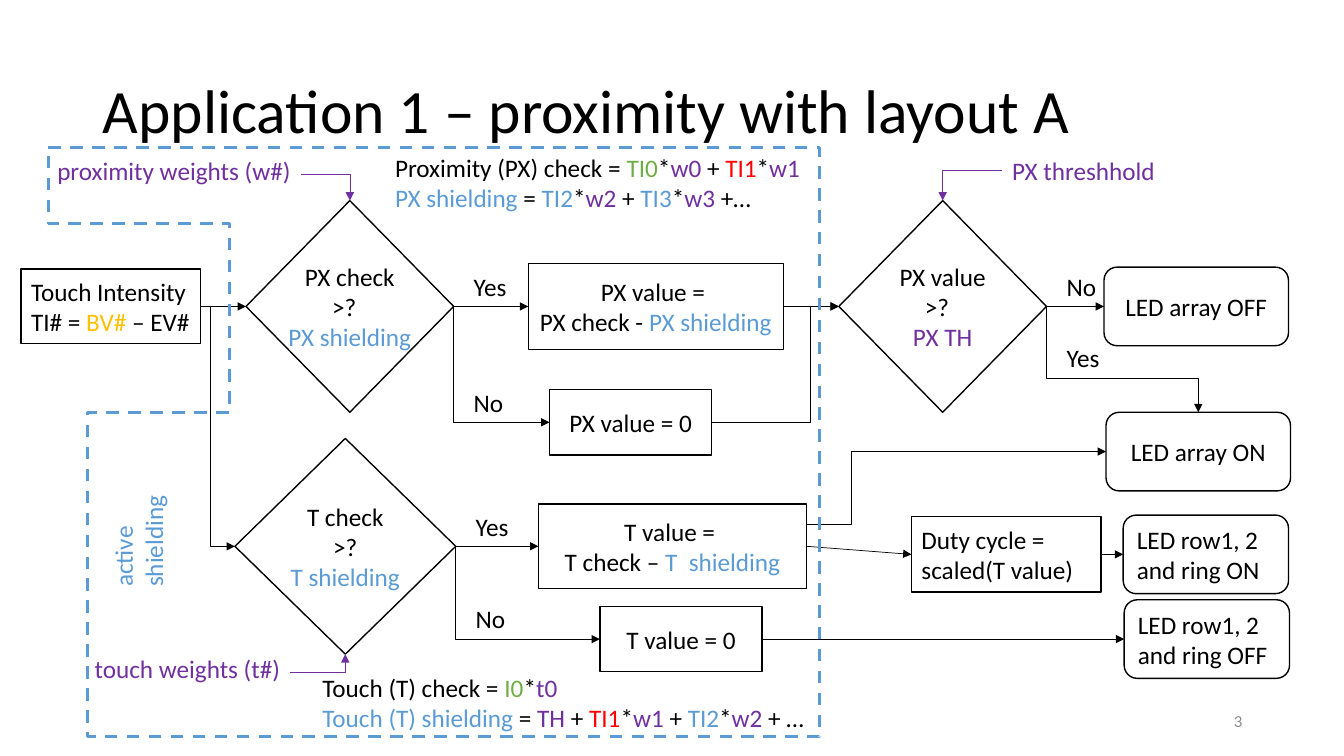
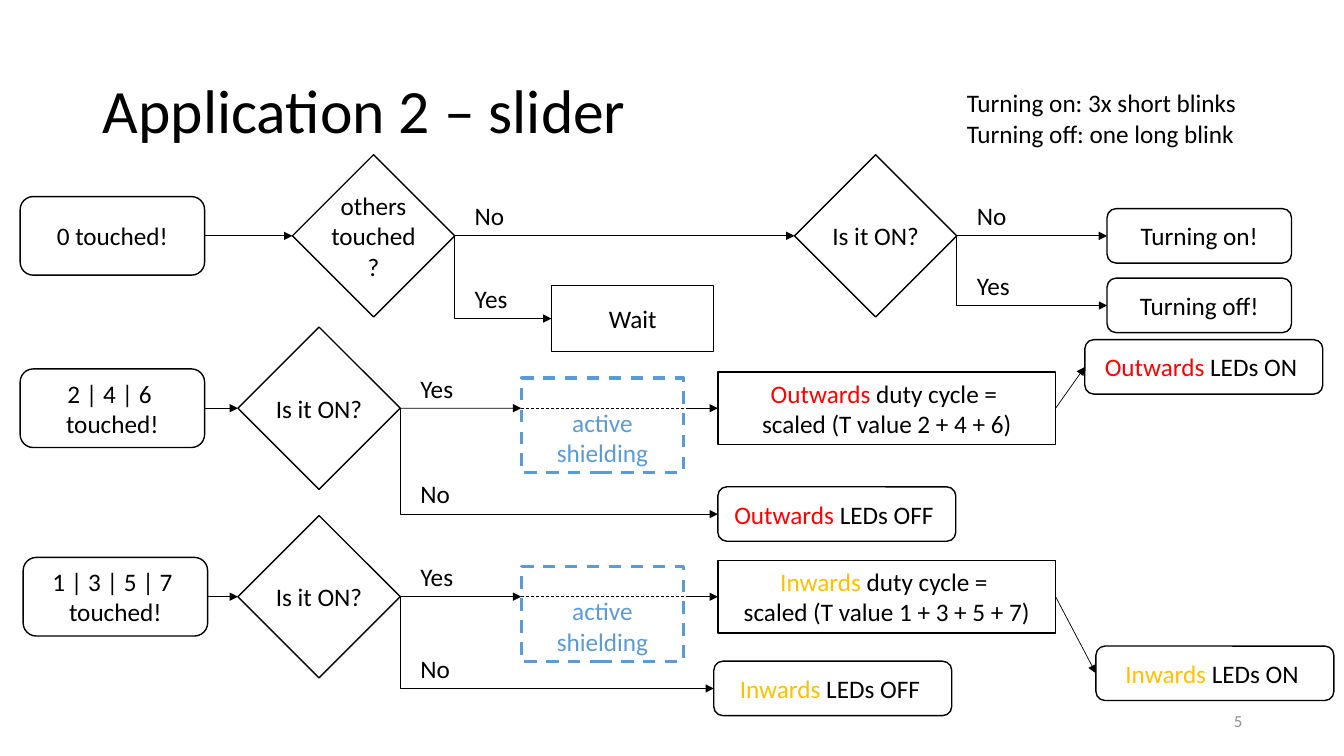
"""Builds two flowchart slides: proximity sensing and slider applications."""
import pptx
import pptx.util
import pptx.dml.color
import pptx.enum.dml
import pptx.enum.shapes
import pptx.enum.text
import pptx.oxml.ns

Inches, Pt = pptx.util.Inches, pptx.util.Pt
SHAPE = pptx.enum.shapes.MSO_SHAPE
CONNECTOR = pptx.enum.shapes.MSO_CONNECTOR
ALIGN = pptx.enum.text.PP_ALIGN
ANCHOR = pptx.enum.text.MSO_ANCHOR
DASH = pptx.enum.dml.MSO_LINE.DASH
qn = pptx.oxml.ns.qn
BOX, ROUND, DIAMOND = SHAPE.RECTANGLE, SHAPE.ROUNDED_RECTANGLE, SHAPE.DIAMOND
TOP, LEFT, BOTTOM, RIGHT = range(4)

COLORS = {"black": "000000", "gray": "8C8C8C", "blue": "5B9BD5", "purple": "7030A0",
          "green": "70AD47", "red": "FF0000", "gold": "FFC000"}
BODY = {"name": "Calibri", "size": Pt(18)}
TITLE = {"name": "Calibri", "size": Pt(44)}
FOOTER = {"name": "Calibri", "size": Pt(12)}
TITLE_BOX = (0.92, 0.4, 11.5, 1.45)
NUMBER_BOX = (9.42, 6.95, 3, 0.4)
LINE_HEIGHT = 0.3

KINDS = {
    "input": (BOX, 1.78, 0.74), "duty": (BOX, 1.88, 0.75), "zero": (BOX, 1.61, 0.65),
    "px value": (BOX, 2.53, 0.85), "t value": (BOX, 2.66, 0.84), "cycle": (BOX, 3.35, 0.72),
    "shield": (BOX, 1.61, 0.94), "px check": (DIAMOND, 2.06, 2.1),
    "t check": (DIAMOND, 2.19, 2.14), "check": (DIAMOND, 1.61, 1.61),
    "state": (ROUND, 1.83, 0.78), "row": (ROUND, 1.64, 0.78),
    "turn": (ROUND, 1.83, 0.54), "leds": (ROUND, 2.36, 0.54),
}
LEFT_KINDS = ("input", "duty", "row")

PROXIMITY = {
    "title": "Application 1 – proximity with layout A",
    "number": "3",
    "rows": [
        (3.04, [
            ("intensity", "input", 0.21,
             ["Touch Intensity", ["TI# = ", ("BV#", "gold"), " – EV#"]]),
            ("px_check", "px check", 2.44, ["PX check", ">?  ", [("PX shielding", "blue")]]),
            ("px_value", "px value", 5.24,
             ["PX value = ", ["PX check - ", ("PX shielding", "blue")]]),
            ("px_limit", "px check", 8.32, ["PX value", ">?  ", [("PX TH", "purple")]]),
            ("array_off", "state", 10.95, ["LED array OFF"])]),
        (4.19, [("px_zero", "zero", 5.45, ["PX value = 0"])]),
        (4.48, [("array_on", "state", 10.97, ["LED array ON"])]),
        (5.42, [
            ("t_check", "t check", 2.33, ["T check", " >? ", [("T shielding", "blue")]]),
            ("t_value", "t value", 5.34,
             ["T value = ", ["T check – ", ("T  shielding", "blue")]])]),
        (5.5, [("duty", "duty", 9.04, ["Duty cycle =", "scaled(T value)"]),
               ("row_on", "row", 11.14, ["LED row1, 2", "and ring ON"])]),
        (6.34, [("t_zero", "zero", 5.95, ["T value = 0"]),
                ("row_off", "row", 11.15, ["LED row1, 2", "and ring OFF"])]),
    ],
    "links": [
        ("intensity", "px_check", {}),
        ("intensity", "t_check", {"bend": 0.28}),
        ("px_check", "px_value", {"answer": "Yes"}),
        ("px_check", "px_zero", {"bend": 0, "answer": "No"}),
        ("px_value", "px_limit", {}),
        ("px_zero", "px_limit", {"bend": 0.78}),
        ("px_limit", "array_off", {"answer": "No"}),
        ("px_limit", (11.2, 3.75), {"bend": 0, "answer": "Yes", "arrow": False}),
        ((11.2, 3.75), "array_on", {"bend": "corner", "side": TOP}),
        ("t_check", "t_value", {"answer": "Yes"}),
        ("t_check", "t_zero", {"bend": 0, "answer": "No"}),
        ((8, 5.2), "array_on", {"bend": 0.15}),
        ("t_value", "duty", {}),
        ("duty", "row_on", {}),
        ("t_zero", "row_off", {}),
        ((2.99, 1.73), "px_check", {"bend": "corner", "side": TOP, "color": "purple"}),
        ((2.88, 6.67), "t_check", {"bend": "corner", "side": BOTTOM, "color": "purple"}),
        ((9.94, 1.69), "px_limit", {"bend": "corner", "side": TOP, "color": "purple"}),
    ],
    "notes": [
        (0.47, 1.49, 3.2, [[("proximity weights (w#)", "purple")]], {}),
        (0.84, 6.43, 3.2, [[("touch weights (t#)", "purple")]], {}),
        (9.94, 1.49, 3.2, [[("PX threshhold", "purple")]], {}),
        (0.37, 4.87, 1.7, [[("active shielding", "blue")]], {"rotation": 270}),
        (3.82, 1.46, 4.4, [
            ["Proximity (PX) check = ", ("TI0", "green"), "*", ("w0", "purple"), " + ",
             ("TI1", "red"), "*", ("w1", "purple")],
            [("PX shielding ", "blue"), "= ", ("TI2", "blue"), "*", ("w2", "purple"),
             " + ", ("TI3", "blue"), "*", ("w3", "purple"), " +…"]], {}),
        (3.1, 6.62, 6.77, [
            ["Touch (T) check = ", ("I0", "green"), "*", ("t0", "purple")],
            [("Touch (T) shielding ", "blue"), "= ", ("TH", "purple"), " + ",
             ("TI1", "red"), "*", ("w1 ", "purple"), "+ ", ("TI2", "blue"), "*",
             ("w2 ", "purple"), "+ …"]], {}),
    ],
    "outline": {"across": (0.48, 0.87, 2.28, 8.13), "down": (1.46, 2.22, 4.09, 7.31)},
}

SLIDER = {
    "title": "Application 2 – slider",
    "number": "5",
    "rows": [
        (2.34, [("zero", "state", 0.2, ["0 touched!"]),
                ("others", "check", 2.9, ["others", "touched", "?"]),
                ("zero_on", "check", 7.88, ["Is it ON?"]),
                ("turn_on", "turn", 10.98, ["Turning on!"])]),
        (3.03, [("turn_off", "turn", 10.98, ["Turning off!"])]),
        (3.16, [("wait", "zero", 5.47, ["Wait"])]),
    ],
    "links": [
        ("zero", "others", {}),
        ("others", "zero_on", {"answer": "No"}),
        ("others", "wait", {"bend": 0, "answer": "Yes"}),
        ("zero_on", "turn_on", {"answer": "No"}),
        ("zero_on", "turn_off", {"bend": 0, "answer": "Yes"}),
    ],
    "notes": [(9.49, 0.82, 3.35,
               ["Turning on: 3x short blinks", "Turning off: one long blink"], {})],
    "outline": None,
}

BRANCHES = [
    {"word": ("Outwards ", "red"), "pads": "2 | 4 | 6 ", "sum": "2 + 4 + 6", "y": 4.05,
     "start": 0.2, "on": (10.76, 3.64), "off": (7.12, 5.1)},
    {"word": ("Inwards ", "gold"), "pads": "1 | 3 | 5 | 7 ", "sum": "1 + 3 + 5 + 7", "y": 5.92,
     "start": 0.23, "on": (10.87, 6.68), "off": (7.08, 6.83)},
]


def add_branch(content, branch):
    word, y = branch["word"], branch["y"]
    start, check, shield, cycle, on, off = [
        word[0] + part for part in ("start", "check", "shield", "cycle", "on", "off")]
    content["rows"] += [
        (y, [(start, "state", branch["start"], [branch["pads"], "touched!"]),
             (check, "check", 2.36, ["Is it ON?"]),
             (cycle, "cycle", 7.12,
              [[word, "duty cycle = "], f"scaled (T value {branch['sum']})"])]),
        (y + 0.17, [(shield, "shield", 5.17, [[("active", "blue")], [("shielding", "blue")]])]),
    ]
    for name, state in ((on, "on"), (off, "off")):
        left, middle = branch[state]
        content["rows"].append(
            (middle, [(name, "leds", left, [[word, f"LEDs {state.upper()} "]])]))
    entry, leave = (5.17, y), (6.8, y)
    content["links"] += [
        (start, check, {}),
        (check, entry, {"answer": "Yes"}),
        (entry, leave, {"dash": DASH, "arrow": False}),
        (leave, cycle, {}),
        (cycle, on, {}),
        (check, off, {"bend": 0, "answer": "No"}),
    ]


def rgb(color):
    return pptx.dml.color.RGBColor.from_string(COLORS[color])


def apply(target, values):
    for name, value in values.items():
        setattr(target, name, value)


def write(tf, lines, font=BODY, color="black", **paragraph):
    for i, line in enumerate(lines):
        p = tf.add_paragraph() if i else tf.paragraphs[0]
        apply(p, paragraph)
        for part in [line] if isinstance(line, str) else line:
            text, tint = (part, color) if isinstance(part, str) else part
            r = p.add_run()
            r.text = text
            apply(r.font, font)
            r.font.color.rgb = rgb(tint)


def style_line(line, color, width, dash=None):
    line.color.rgb = rgb(color)
    line.width = Pt(width)
    if dash:
        line.dash_style = dash


def style_outline(sp, dashed):
    sp.shadow.inherit = False
    sp.fill.background()
    style_line(sp.line, *(("blue", 2.25, DASH) if dashed else ("black", 1)))


def add_text(s, box, lines, rotation=0, anchor=ANCHOR.TOP, **options):
    sp = s.shapes.add_textbox(*map(Inches, box))
    sp.rotation = rotation
    apply(sp.text_frame, {"word_wrap": True, "vertical_anchor": anchor})
    write(sp.text_frame, lines, **options)


def add_node(s, middle, kind, left, lines):
    preset, width, height = KINDS[kind]
    sp = s.shapes.add_shape(preset, *map(Inches, (left, middle - height / 2, width, height)))
    shielded = kind == "shield"
    style_outline(sp, shielded)
    apply(sp.text_frame, {"word_wrap": preset != DIAMOND,
                          "vertical_anchor": ANCHOR.BOTTOM if shielded else ANCHOR.MIDDLE})
    write(sp.text_frame, lines, alignment=ALIGN.LEFT if kind in LEFT_KINDS else ALIGN.CENTER)
    return sp


def locate(end, side, nodes):
    if not isinstance(end, str):
        return tuple(map(Inches, end))
    sp = nodes[end]
    across = {LEFT: 0, RIGHT: sp.width}.get(side, sp.width // 2)
    down = {TOP: 0, BOTTOM: sp.height}.get(side, sp.height // 2)
    return sp.left + across, sp.top + down


def add_link(s, nodes, begin, end, bend=None, side=LEFT, color="black", dash=None,
             arrow=True, answer=None):
    start, stop = locate(begin, RIGHT, nodes), locate(end, side, nodes)
    kind = CONNECTOR.STRAIGHT if bend is None else CONNECTOR.ELBOW
    c = s.shapes.add_connector(kind, *start, *stop)
    style_line(c.line, color, 0.5, dash)
    pr = c.element.spPr
    geometry = pr.find(qn("a:prstGeom"))
    if bend is None:
        if begin in nodes:
            c.begin_connect(nodes[begin], RIGHT)
        if end in nodes:
            c.end_connect(nodes[end], side)
    elif bend == "corner":
        geometry.set("prst", "bentConnector2")
    else:
        values = geometry.find(qn("a:avLst"))
        guide = {"name": "adj1", "fmla": f"val {round(bend * 100000)}"}
        values.append(values.makeelement(qn("a:gd"), guide))
    if arrow:
        ln = pr.find(qn("a:ln"))
        ln.append(ln.makeelement(qn("a:tailEnd"), {"type": "triangle"}))
    pr.append(pr.makeelement(qn("a:effectLst"), {}))
    if answer:
        corner = start[0] / Inches(1) + 0.1, stop[1] / Inches(1) - 0.4
        add_text(s, (*corner, 0.58, 0.4), [answer])


def add_outline(s, across, down):
    left, inner, notch, right = map(Inches, across)
    top, step, shelf, bottom = map(Inches, down)
    builder = s.shapes.build_freeform(left, top)
    builder.add_line_segments([(right, top), (right, bottom), (inner, bottom), (inner, shelf),
                               (notch, shelf), (notch, step), (left, step)], close=True)
    style_outline(builder.convert_to_shape(), True)


def add_slide(prs, content):
    s = prs.slides.add_slide(prs.slide_layouts[5])
    title = s.shapes.title
    apply(title, dict(zip(("left", "top", "width", "height"), map(Inches, TITLE_BOX))))
    title.text_frame.vertical_anchor = ANCHOR.MIDDLE
    write(title.text_frame, [content["title"]], TITLE, alignment=ALIGN.LEFT, line_spacing=0.9)
    add_text(s, NUMBER_BOX, [content["number"]], anchor=ANCHOR.MIDDLE, font=FOOTER,
             color="gray", alignment=ALIGN.RIGHT)
    nodes = {name: add_node(s, middle, *node)
             for middle, row in content["rows"] for name, *node in row}
    for begin, end, options in content["links"]:
        add_link(s, nodes, begin, end, **options)
    for left, top, width, lines, options in content["notes"]:
        add_text(s, (left, top, width, 0.1 + LINE_HEIGHT * len(lines)), lines, **options)
    if content["outline"]:
        add_outline(s, **content["outline"])


def main():
    prs = pptx.Presentation()
    prs.slide_width, prs.slide_height = Inches(13.33), Inches(7.5)
    for branch in BRANCHES:
        add_branch(SLIDER, branch)
    for content in (PROXIMITY, SLIDER):
        add_slide(prs, content)
    prs.save("out.pptx")


if __name__ == "__main__":
    main()
